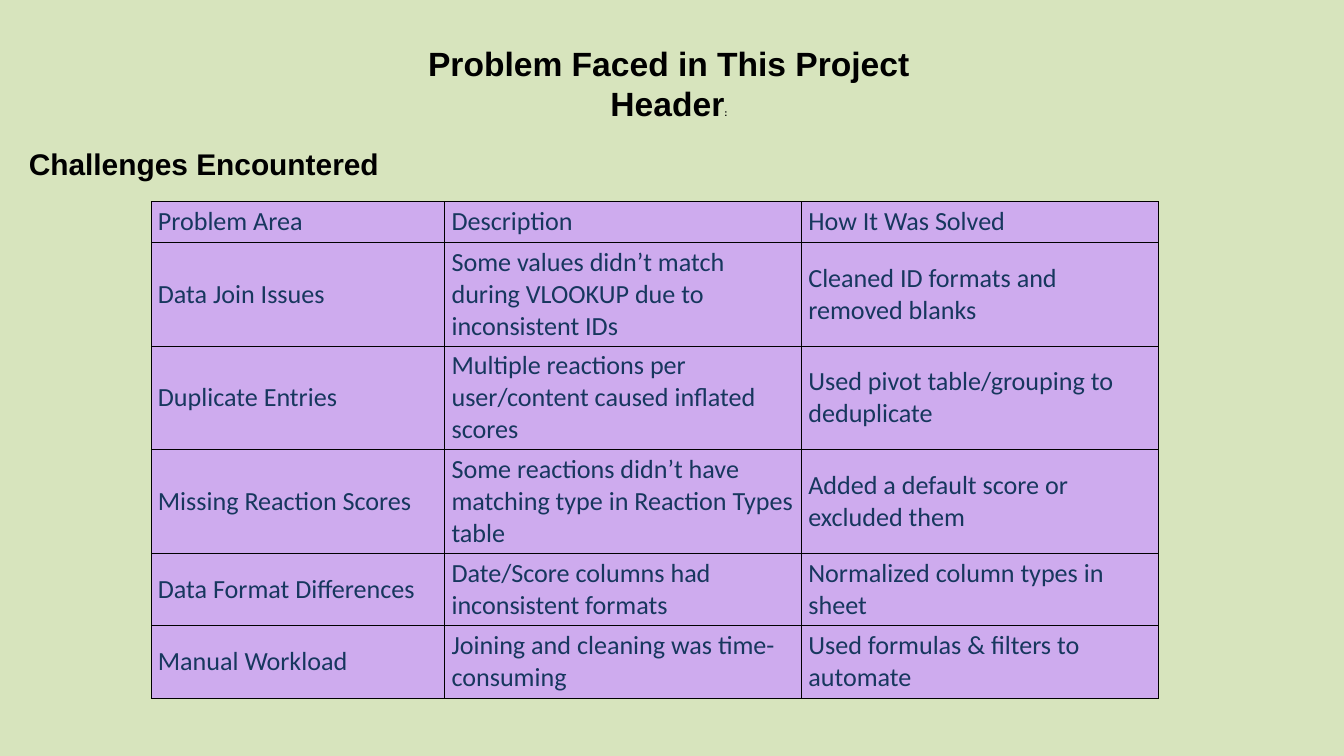
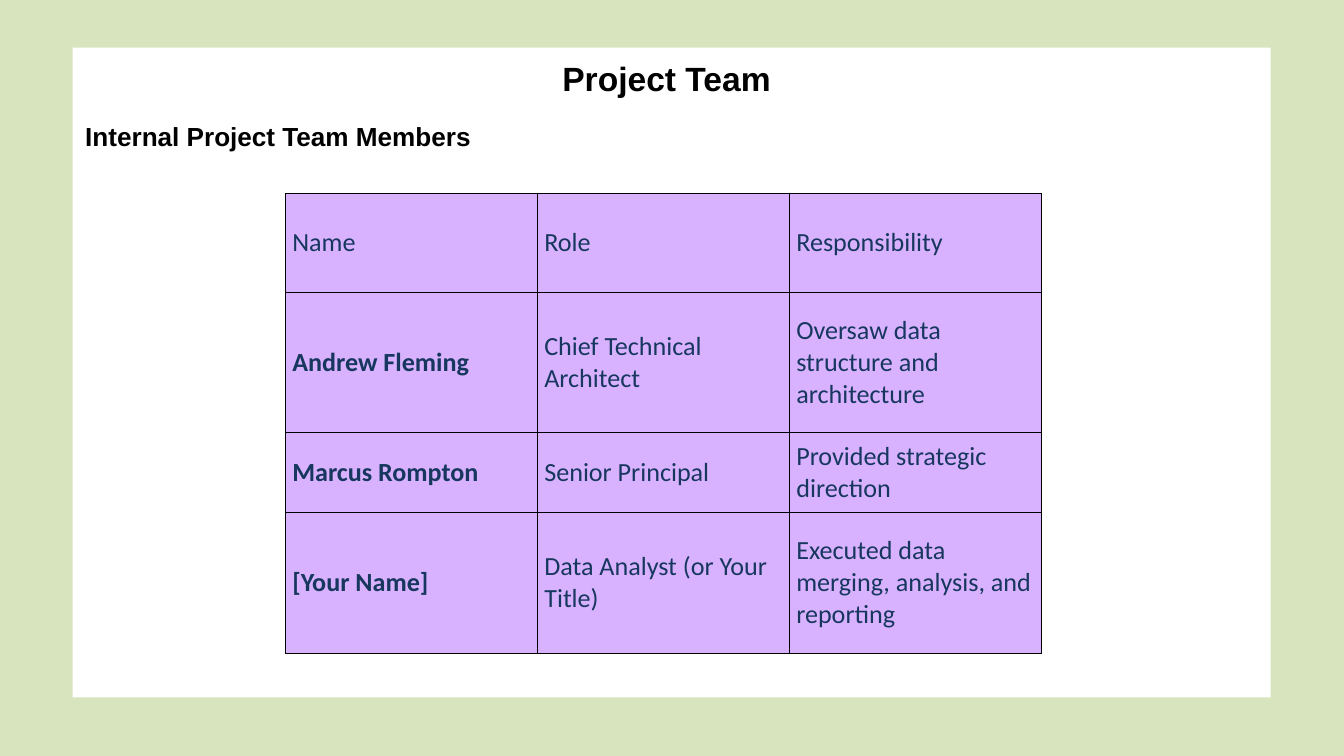
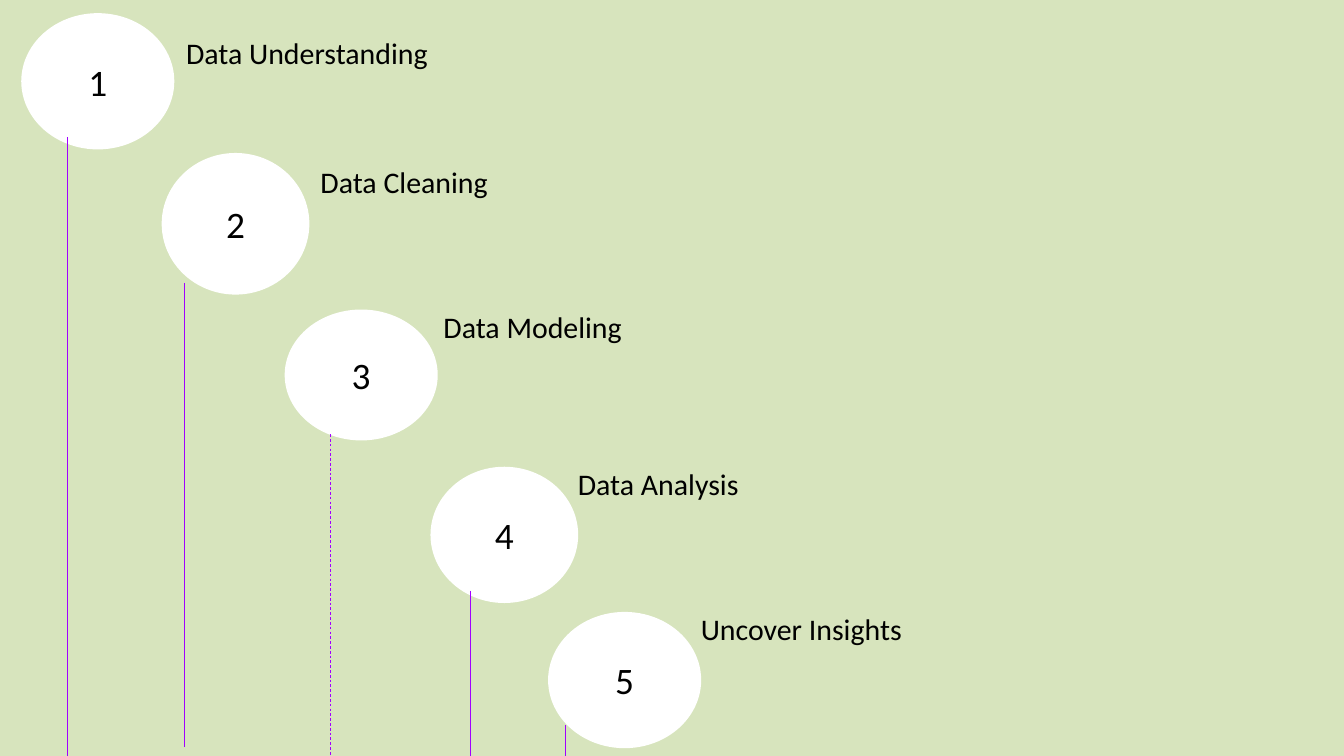
"""Build three slides: project problems, project team and analysis steps."""
from lxml.etree import SubElement
from pptx import Presentation
from pptx.dml.color import RGBColor
from pptx.enum.dml import MSO_LINE
from pptx.enum.shapes import MSO_CONNECTOR, MSO_SHAPE
from pptx.enum.text import MSO_ANCHOR, PP_ALIGN
from pptx.oxml import parse_xml
from pptx.oxml.ns import nsdecls, qn
from pptx.util import Inches, Pt

SAGE = RGBColor(0xD7, 0xE4, 0xBD)
LILAC = RGBColor(0xCC, 0x99, 0xFF)
PURPLE = RGBColor(0xA1, 0x00, 0xFF)
NAVY = RGBColor(0x17, 0x37, 0x5E)
WHITE = RGBColor(0xFF, 0xFF, 0xFF)
BLACK = RGBColor(0x00, 0x00, 0x00)


def add_heading(slide, place, title_lines, subtitle, subtitle_size):
    heading = slide.shapes.add_textbox(*map(Inches, place)).text_frame
    heading.word_wrap = True
    heading.margin_top = Inches(0.1)
    heading.text = "\n".join([*title_lines, subtitle])
    for paragraph in heading.paragraphs:
        paragraph.alignment = PP_ALIGN.CENTER
        paragraph.font.name = "Arial"
        paragraph.font.size = Pt(36)
        paragraph.font.bold = True
        paragraph.font.color.rgb = BLACK
    paragraph.alignment = PP_ALIGN.LEFT
    paragraph.space_before = Pt(24)
    paragraph.font.size = Pt(subtitle_size)
    return heading


def add_grid(slide, left, top, widths, heights, rows, bold_names=False):
    grid = slide.shapes.add_table(
        len(rows), len(widths), Inches(left), Inches(top),
        Inches(sum(widths)), Inches(sum(heights))).table
    grid.first_row = grid.horz_banding = False
    for column, width in zip(grid.columns, widths):
        column.width = Inches(width)
    for r, (height, texts) in enumerate(zip(heights, rows)):
        grid.rows[r].height = Inches(height)
        for c, text in enumerate(texts):
            cell = grid.cell(r, c)
            cell.text = text
            cell.vertical_anchor = MSO_ANCHOR.MIDDLE
            font = cell.text_frame.paragraphs[0].font
            font.name = "Calibri"
            font.size = Pt(28)
            font.bold = bold_names and r > 0 and c == 0
            font.color.rgb = NAVY
            cell.fill.solid()
            cell.fill.fore_color.rgb = LILAC
            properties = cell._tc.tcPr
            tint = properties.find(qn("a:solidFill"))[0]
            SubElement(tint, qn("a:alpha"), val="75000")
            for position, side in enumerate("LRTB"):
                properties.insert(position, parse_xml(
                    f'<a:ln{side} {nsdecls("a")} w="12700"><a:solidFill>'
                    f'<a:srgbClr val="{BLACK}"/></a:solidFill></a:ln{side}>'))


deck = Presentation()
deck.slide_width = Inches(20)
deck.slide_height = Inches(11.25)
problems, team, steps = [deck.slides.add_slide(deck.slide_layouts[6]) for _ in range(3)]
for slide in deck.slides:
    slide.background.fill.solid()
    slide.background.fill.fore_color.rgb = SAGE

add_grid(problems, 2.25, 3, [4.37, 5.31, 5.31], [0.61, 1.54, 1.54, 1.54, 1.08, 1.08], [
    ("Problem Area", "Description", "How It Was Solved"),
    ("Data Join Issues", "Some values didn’t match during VLOOKUP due to inconsistent IDs",
     "Cleaned ID formats and removed blanks"),
    ("Duplicate Entries", "Multiple reactions per user/content caused inflated scores",
     "Used pivot table/grouping to deduplicate"),
    ("Missing Reaction Scores", "Some reactions didn’t have matching type in Reaction Types table",
     "Added a default score or excluded them"),
    ("Data Format Differences", "Date/Score columns had inconsistent formats",
     "Normalized column types in sheet"),
    ("Manual Workload", "Joining and cleaning was time-consuming",
     "Used formulas & filters to automate"),
])
problem_heading = add_heading(problems, (0.33, 0.54, 19.25, 2.46),
                              ["Problem Faced in This Project", "Header"],
                              "Challenges Encountered", 32)
colon = problem_heading.paragraphs[1].add_run()
colon.text = ":"
colon.font.size = Pt(10)

panel = team.shapes.add_shape(MSO_SHAPE.RECTANGLE, Inches(1.08), Inches(0.71),
                              Inches(17.83), Inches(9.67))
panel.shadow.inherit = False
panel.fill.solid()
panel.fill.fore_color.rgb = WHITE
panel.line.fill.background()
add_grid(team, 4.25, 2.88, [3.75] * 3, [1.47, 2.09, 1.19, 2.09], [
    ("Name", "Role", "Responsibility"),
    ("Andrew Fleming", "Chief Technical Architect", "Oversaw data structure and architecture"),
    ("Marcus Rompton", "Senior Principal", "Provided strategic direction"),
    ("[Your Name]", "Data Analyst (or Your Title)",
     "Executed data merging, analysis, and reporting"),
], bold_names=True)
add_heading(team, (1.17, 0.76, 17.5, 1.82), ["Project Team"], "Internal Project Team Members", 28)

STEPS = [
    ("Data Understanding", (0.33, 0.21, 2.25, 2), (1, 2.04, 11.25), (2.67, 0.46, 5)),
    ("Data Cleaning", (2.42, 2.29, 2.17, 2.08), (2.75, 4.21, 11.12), (4.67, 2.38, 4.17)),
    ("Data Modeling", (4.25, 4.62, 2.25, 1.92), (4.92, 6.46, 11.25), (6.5, 4.54, 3.17)),
    ("Data Analysis", (6.42, 6.96, 2.17, 2), (7, 8.79, 11.25), (8.5, 6.88, 4.08)),
    ("Uncover Insights", (8.17, 9.12, 2.25, 2), (8.42, 10.79, 11.25), (10.33, 9.04, 3.58)),
]
for number, (step, circle_place, (x, start, end), label_place) in enumerate(STEPS, 1):
    circle = steps.shapes.add_shape(MSO_SHAPE.OVAL, *map(Inches, circle_place))
    circle.shadow.inherit = False
    circle.fill.solid()
    circle.fill.fore_color.rgb = WHITE
    circle.line.color.rgb = WHITE
    circle.line.width = Pt(2)
    circle.text_frame.text = str(number)
    circle.text_frame.vertical_anchor = MSO_ANCHOR.MIDDLE
    digit = circle.text_frame.paragraphs[0]
    digit.alignment = PP_ALIGN.CENTER

    stem = steps.shapes.add_connector(MSO_CONNECTOR.STRAIGHT, Inches(x), Inches(start),
                                      Inches(x), Inches(end))
    stem.line.color.rgb = PURPLE
    stem.line.width = Pt(0.75)
    if step == "Data Modeling":
        stem.line.dash_style = MSO_LINE.DASH
    SubElement(stem._element.spPr, qn("a:effectLst"))

    label = steps.shapes.add_textbox(*map(Inches, label_place), Inches(0.64)).text_frame
    label.word_wrap = True
    label.text = step
    for paragraph, size in ((digit, 40), (label.paragraphs[0], 32)):
        paragraph.font.name = "Calibri"
        paragraph.font.size = Pt(size)
        paragraph.font.color.rgb = BLACK

deck.save("out.pptx")
